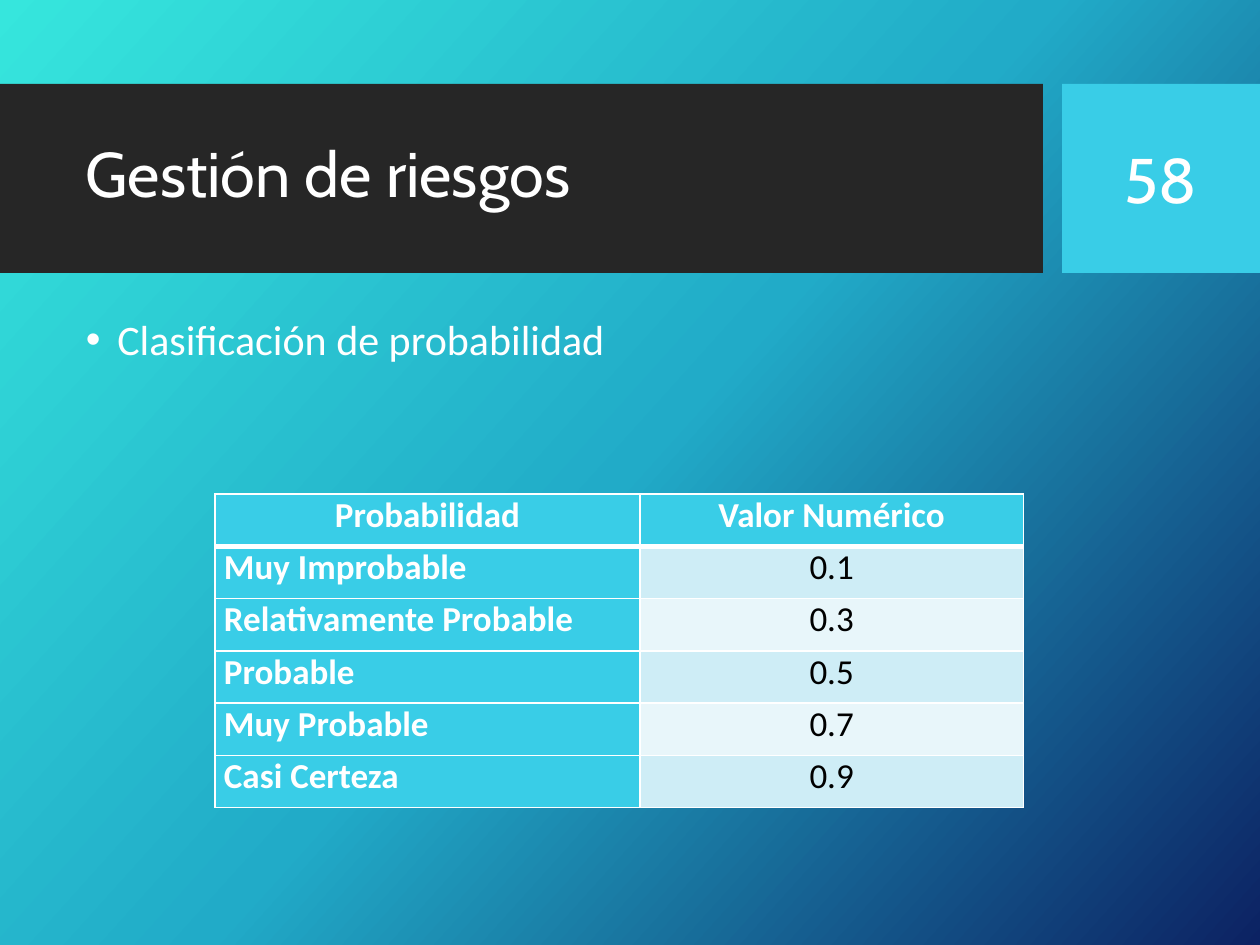
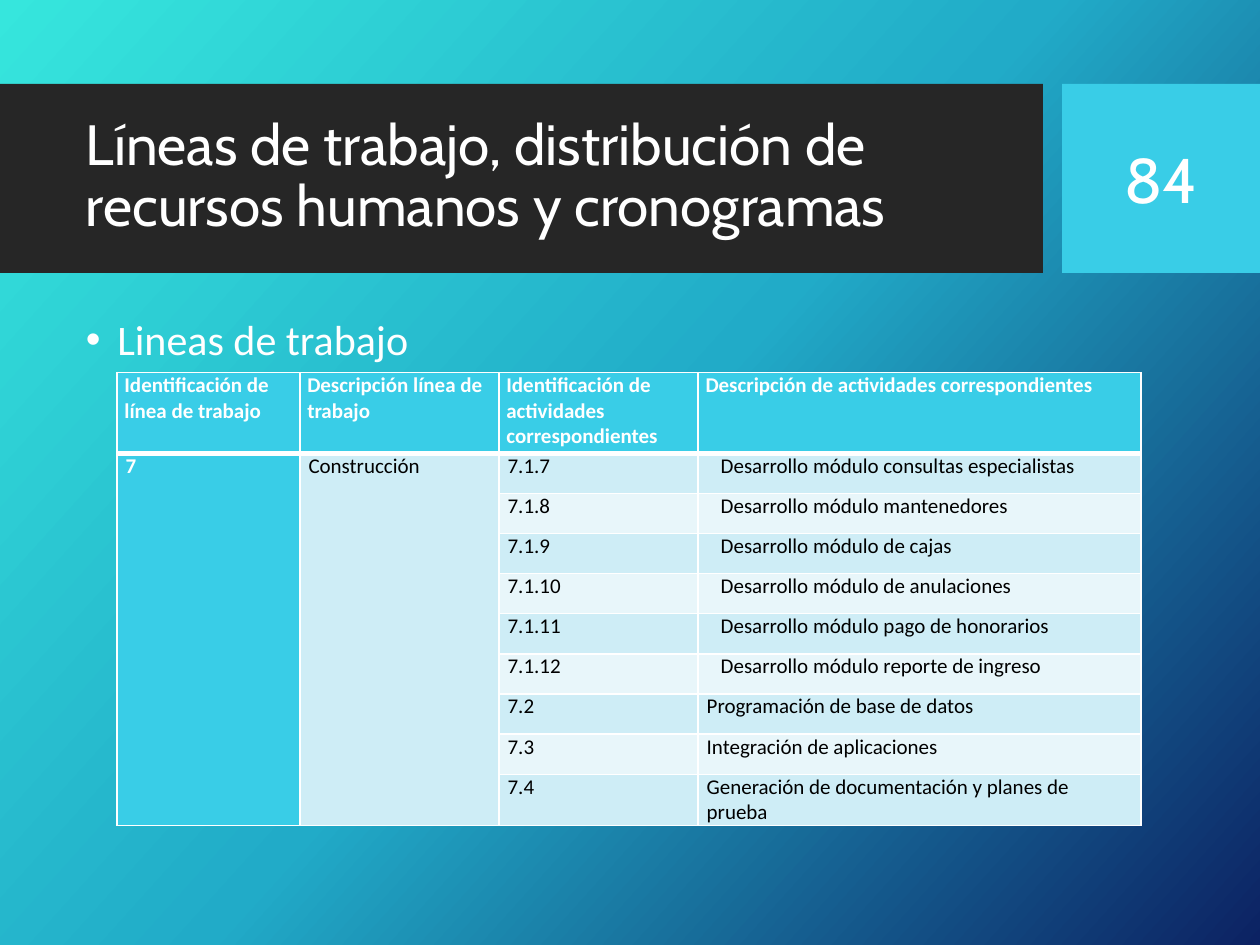
import lxml.etree
import pptx
import pptx.dml.color
import pptx.enum.shapes
import pptx.enum.text
import pptx.oxml
import pptx.oxml.ns
import pptx.util

Pt = pptx.util.Pt
ALIGN = pptx.enum.text.PP_ALIGN
ANCHOR = pptx.enum.text.MSO_ANCHOR
WHITE, BLACK, DARK, CYAN = "FFFFFF", "000000", "262626", "39CDE7"
BANDS = ["E8F6FA", "CEEDF6"]
STOPS = [(0, "36E6DD"), (50, "21ABC8"), (100, "0C2263")]
HEAD, BODY = "Cabin", "Calibri"
TITLE, PAGE = (41.8, 59, 542.9, 85), (617.8, 59, 91.4, 85.7)

RISKS = [
    ["Probabilidad", "Valor Numérico"],
    ["Muy Improbable", "0.1"],
    ["Relativamente Probable", "0.3"],
    ["Probable", "0.5"],
    ["Muy Probable", "0.7"],
    ["Casi Certeza", "0.9"],
]
TASKS = [
    ["Identificación de línea de trabajo", "Descripción línea de trabajo",
     "Identificación de actividades correspondientes",
     "Descripción de actividades correspondientes"],
    ["7", "Construcción", "7.1.7", "Desarrollo módulo consultas especialistas"],
    ["", "", "7.1.8", "Desarrollo módulo mantenedores"],
    ["", "", "7.1.9", "Desarrollo módulo de cajas"],
    ["", "", "7.1.10", "Desarrollo módulo de anulaciones"],
    ["", "", "7.1.11", "Desarrollo módulo pago de honorarios"],
    ["", "", "7.1.12", "Desarrollo módulo reporte de ingreso"],
    ["", "", "7.2", "Programación de base de datos"],
    ["", "", "7.3", "Integración de aplicaciones"],
    ["", "", "7.4", "Generación de documentación y planes de prueba"],
]


def paint(fill, color):
    """Fill with a solid hex colour."""
    fill.solid()
    fill.fore_color.rgb = pptx.dml.color.RGBColor.from_string(color)


def style(para, size, face, color=WHITE, bold=False, align=ALIGN.LEFT):
    """Format a whole paragraph."""
    para.alignment = align
    font = para.font
    font.size, font.name, font.bold = Pt(size), face, bold
    paint(font.fill, color)


def place(shape, box):
    """Move a shape to a box given in points."""
    shape.left, shape.top, shape.width, shape.height = map(Pt, box)


def backdrop(deck):
    """Give the master its diagonal gradient."""
    fill = deck.slide_master.background.fill
    fill.gradient()
    grad = deck.slide_master.element.find(".//" + pptx.oxml.ns.qn("a:gradFill"))
    stops = "".join(
        f'<a:gs pos="{pos * 1000}"><a:srgbClr val="{color}"/></a:gs>'
        for pos, color in STOPS)
    new = pptx.oxml.parse_xml(
        f'<a:gradFill {pptx.oxml.ns.nsdecls("a")} rotWithShape="1">'
        f'<a:gsLst>{stops}</a:gsLst>'
        f'<a:lin ang="{42 * 60000}" scaled="0"/></a:gradFill>')
    grad.getparent().replace(grad, new)


def band(slide, box, color):
    """Put a plain rectangle behind everything else."""
    shape = slide.shapes.add_shape(
        pptx.enum.shapes.MSO_SHAPE.RECTANGLE, *map(Pt, box))
    shape.shadow.inherit = False
    paint(shape.fill, color)
    shape.line.fill.background()
    slide.shapes.element.insert(2, shape.element)


def write(shape, box, text, anchor):
    """Put text in a shape and return its paragraph."""
    place(shape, box)
    frame = shape.text_frame
    frame.text = text
    frame.word_wrap = True
    frame.auto_size = pptx.enum.text.MSO_AUTO_SIZE.NONE
    frame.vertical_anchor = anchor
    return frame.paragraphs[0]


def header(slide, title, size, page):
    """Draw the title band and the page number."""
    band(slide, (0, 48, 596, 108), DARK)
    band(slide, (607, 48, 113, 108), CYAN)
    para = write(slide.shapes.title, TITLE, title, ANCHOR.MIDDLE)
    para.line_spacing = 0.9
    style(para, size, HEAD)
    shape = slide.shapes.add_textbox(*map(Pt, PAGE))
    para = write(shape, PAGE, page, ANCHOR.MIDDLE)
    style(para, 36, HEAD, align=ALIGN.CENTER)


def bullet(slide, box, text):
    """Fill the body placeholder with one bulleted line."""
    para = write(slide.placeholders[1], box, text, ANCHOR.TOP)
    para.line_spacing = 0.9
    para.space_before = Pt(0)
    props = para._p.get_or_add_pPr()
    props.set("marL", str(Pt(18)))
    props.set("indent", str(Pt(-18)))
    style(para, 24, BODY)


def edge(cell, widths):
    """Draw white borders: left, right, top, bottom."""
    props = cell._tc.get_or_add_tcPr()
    for at, (side, width) in enumerate(zip("LRTB", widths)):
        props.insert(at, pptx.oxml.parse_xml(
            f'<a:ln{side} {pptx.oxml.ns.nsdecls("a")} w="{Pt(width)}">'
            f'<a:solidFill><a:srgbClr val="{WHITE}"/></a:solidFill>'
            f'</a:ln{side}>'))


def grid(slide, spot, rows, cols, heights, size, centre=(), pad=5):
    """Add a banded table with a strong first row and column."""
    frame = slide.shapes.add_table(
        len(rows), len(cols), *map(Pt, (*spot, sum(cols), sum(heights))))
    table = frame.table
    for col, width in zip(table.columns, cols):
        col.width = Pt(width)
    for row, height in zip(table.rows, heights):
        row.height = Pt(height)
    for i, row in enumerate(rows):
        for j, text in enumerate(row):
            cell, strong = table.cell(i, j), i == 0 or j == 0
            cell.margin_left = cell.margin_right = Pt(5 if i else pad)
            cell.margin_top = cell.margin_bottom = 0
            cell.text = text
            paint(cell.fill, CYAN if strong else BANDS[i % 2])
            edge(cell, (1, 1, 3 if i == 1 else 1, 1 if i else 3))
            align = ALIGN.CENTER if (i == 0 and centre) or j in centre else ALIGN.LEFT
            style(cell.text_frame.paragraphs[0], size, BODY,
                  WHITE if strong else BLACK, strong, align)
    return table


def risks(slide):
    """Build the probability scale slide."""
    header(slide, "Gestión de riesgos", 36, "58")
    bullet(slide, (41.8, 178.6, 542, 283.7), "Clasificación de probabilidad")
    grid(slide, (123, 282.3), RISKS, (242.6, 219.4), [29.9] * 6, 20, centre=(1,))


def tasks(slide):
    """Build the work lines slide."""
    header(slide, "Líneas de trabajo, distribución de recursos humanos "
           "y cronogramas", 32.4, "84")
    bullet(slide, (41.8, 178.6, 558, 346.3), "Lineas de trabajo")
    table = grid(slide, (66.8, 213), TASKS, (104.5, 113.8, 113.8, 253.2),
                 [46] + [22.95] * 9, 12, pad=4.3)
    for j in range(2):
        table.cell(1, j).merge(table.cell(9, j))
    for i in range(1, 7):
        para = table.cell(i, 3).text_frame.paragraphs[0]
        para._p.get_or_add_pPr().set("marL", str(Pt(8)))


def main():
    """Build and save the deck."""
    deck = pptx.Presentation()
    deck.slide_width, deck.slide_height = Pt(720), Pt(540)
    backdrop(deck)
    for build in (risks, tasks):
        build(deck.slides.add_slide(deck.slide_layouts[1]))
    deck.save("out.pptx")


if __name__ == "__main__":
    main()
